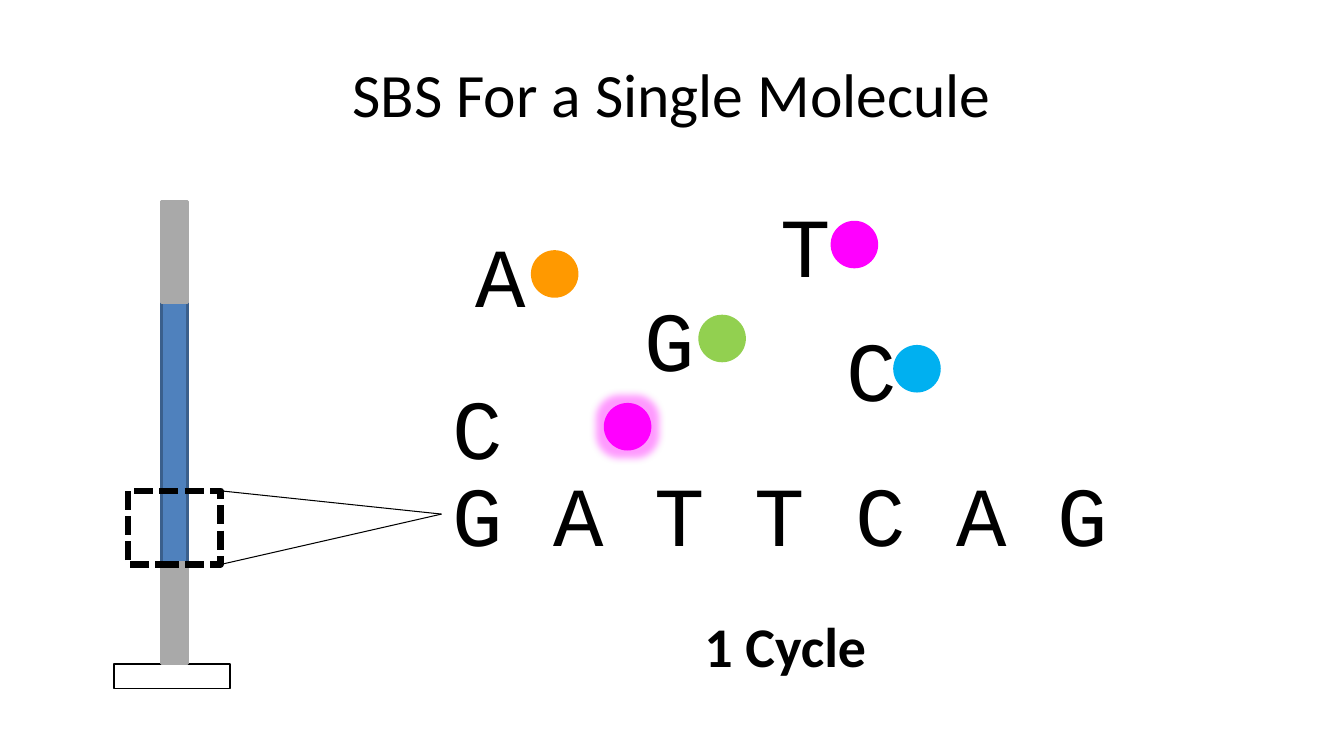
"""Build the slide on sequencing by synthesis of a single molecule."""
from lxml import etree
from pptx import Presentation
from pptx import util as u
from pptx.dml.color import RGBColor
from pptx.enum import dml, shapes, text
from pptx.oxml.ns import qn

BLACK = RGBColor(0, 0, 0)
WHITE = RGBColor(255, 255, 255)
GRAY = RGBColor(0xA9, 0xA9, 0xA9)
BLUE = RGBColor(0x4F, 0x81, 0xBD)
NAVY = RGBColor(0x3A, 0x5F, 0x8C)
MAGENTA = RGBColor(255, 0, 255)
ORANGE = RGBColor(255, 0x99, 0)
GREEN = RGBColor(0x92, 0xD0, 0x50)
CYAN = RGBColor(0, 0xB0, 0xF0)

TITLE = "SBS For a Single Molecule"
CAPTION = "1 Cycle"
STRANDS = [("C", 265, 51), ("G A T T C A G", 326.9, 487.4)]
STRAND_LEFT, BASE_W, BASE_H = 316.1, 51, 80
DOT, DOT_DROP = 34, 22.8
FREE_BASES = [
    ("A", 332.6, 155.9, 46.6, ORANGE),
    ("G", 453.6, 202, 45.2, GREEN),
    ("T", 550.1, 134.9, 43.2, MAGENTA),
    ("C", 597.6, 223.6, 40.4, CYAN),
]
RELEASED_DOT = (431.3, 287.8)
GLOW_RADIUS, GLOW_ALPHA = 11, 40

TUBE_LEFT, TUBE_W = 115.2, 18.7
TUBE_TOP, CAP_H, LIQUID_H = 144.2, 72, 185.8
BASE = (81.4, 474.5, 82.8, 17.3)
ZOOM = (91.4, 350.6, 66.2, 52.6)
ZOOM_TIP = (315.4, 367.2)


def add_shape(container, kind, box, fill=None, line=None, width=1):
    sp = container.add_shape(kind, *map(u.Pt, box))
    sp.shadow.inherit = False
    if fill is None:
        sp.fill.background()
    else:
        sp.fill.solid()
        sp.fill.fore_color.rgb = fill
    if line is None:
        sp.line.fill.background()
    else:
        sp.line.color.rgb = line
        sp.line.width = u.Pt(width)
    return sp


def add_dot(container, x, y, color):
    return add_shape(container, shapes.MSO_SHAPE.OVAL, (x, y, DOT, DOT), color)


def add_text(container, words, box, font, size, bold=False, wrap=False):
    sp = container.add_textbox(*map(u.Pt, box))
    tf = sp.text_frame
    tf.text = words
    tf.word_wrap = wrap
    if not wrap:
        tf.auto_size = text.MSO_AUTO_SIZE.SHAPE_TO_FIT_TEXT
    f = tf.paragraphs[0].runs[0].font
    f.name, f.size, f.bold = font, u.Pt(size), bold
    f.color.rgb = BLACK
    return sp


def add_base(container, letters, x, y, width=BASE_W):
    add_text(container, letters, (x, y, width, BASE_H), "Courier New", 60)


def add_glow(sp, color):
    effects = sp._element.spPr.find(qn("a:effectLst"))
    glow = etree.SubElement(effects, qn("a:glow"), rad=str(int(u.Pt(GLOW_RADIUS))))
    clr = etree.SubElement(glow, qn("a:srgbClr"), val=str(color))
    etree.SubElement(clr, qn("a:alpha"), val=str(GLOW_ALPHA * 1000))


def add_tube(s):
    rect = shapes.MSO_SHAPE.RECTANGLE
    add_shape(s.shapes, rect, BASE, WHITE, BLACK, 1.25)
    x, y, w, h = ZOOM
    for corner_y in (y, y + h):
        ends = (x + w, corner_y, *ZOOM_TIP)
        c = s.shapes.add_connector(shapes.MSO_CONNECTOR.STRAIGHT, *map(u.Pt, ends))
        c.line.color.rgb = BLACK
        c.line.width = u.Pt(0.75)
        etree.SubElement(c._element.spPr, qn("a:effectLst"))
    tube = s.shapes.add_group_shape().shapes
    liquid_top = TUBE_TOP + CAP_H
    for top, height, fill, line in [
        (liquid_top, LIQUID_H, BLUE, NAVY),
        (liquid_top + LIQUID_H, CAP_H, GRAY, GRAY),
        (TUBE_TOP, CAP_H, GRAY, GRAY),
    ]:
        add_shape(tube, rect, (TUBE_LEFT, top, TUBE_W, height), fill, line, 2)
    zoom = add_shape(s.shapes, rect, ZOOM, None, BLACK, 4.5)
    zoom.line.dash_style = dml.MSO_LINE.SQUARE_DOT


def main():
    prs = Presentation()
    prs.slide_width, prs.slide_height = u.Pt(960), u.Pt(540)
    s = prs.slides.add_slide(prs.slide_layouts[6])

    add_glow(add_dot(s.shapes, *RELEASED_DOT, MAGENTA), MAGENTA)
    for letters, y, width in STRANDS:
        add_base(s.shapes, letters, STRAND_LEFT, y, width)

    title = add_text(s.shapes, TITLE, (48, 21.6, 864, 90), "Calibri", 44, wrap=True)
    title.text_frame.vertical_anchor = text.MSO_ANCHOR.MIDDLE
    title.text_frame.paragraphs[0].alignment = text.PP_ALIGN.CENTER

    add_tube(s)
    for letter, x, y, dot_dx, color in FREE_BASES:
        pair = s.shapes.add_group_shape().shapes
        add_base(pair, letter, x, y)
        add_dot(pair, x + dot_dx, y + DOT_DROP, color)
    add_text(s.shapes, CAPTION, (496.1, 433.4, 131, 55.4), "Calibri", 40, bold=True)
    prs.save("out.pptx")


if __name__ == "__main__":
    main()
